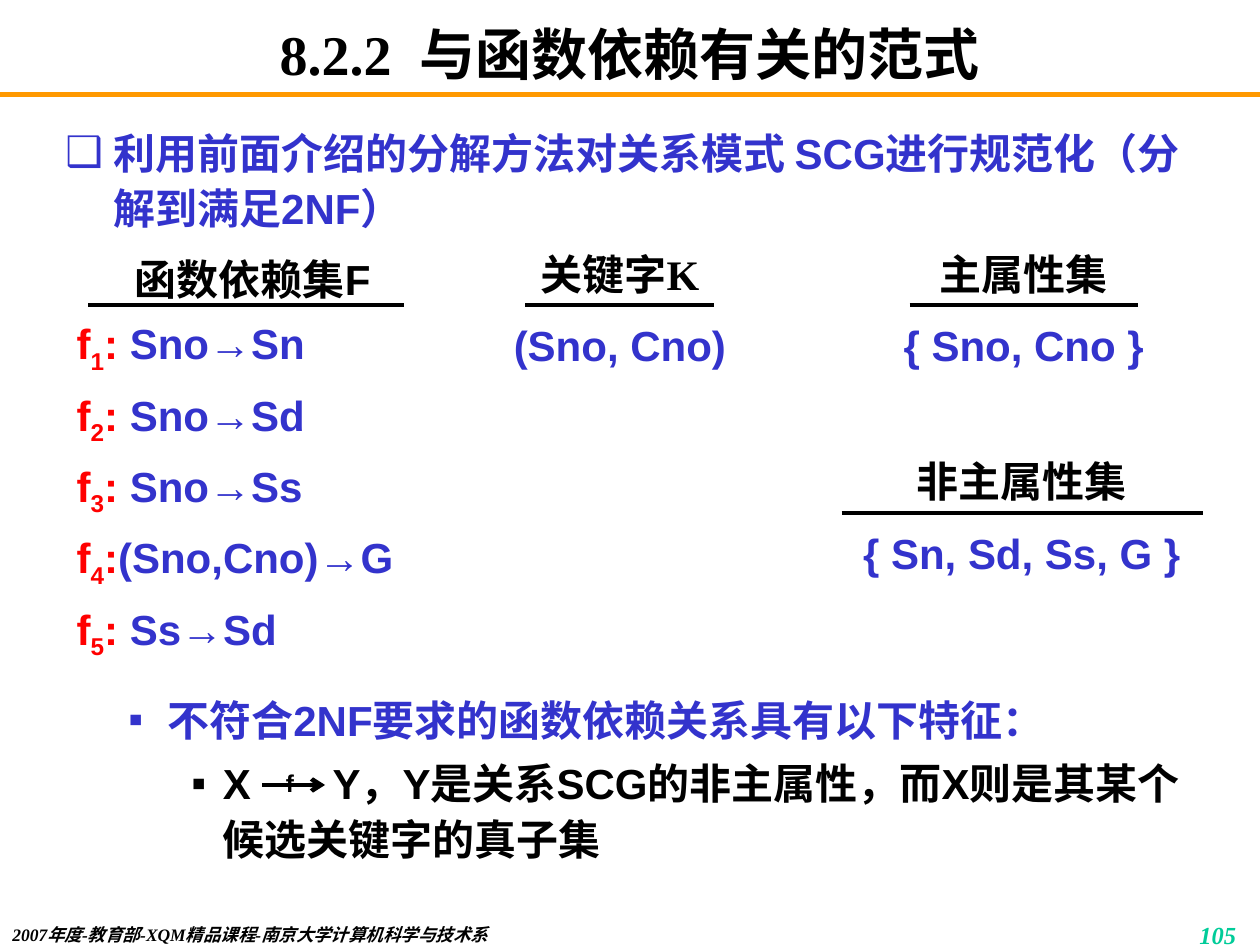
from dataclasses import dataclass

from lxml import etree
from pptx import Presentation
from pptx import util as u
from pptx.dml.color import RGBColor
from pptx.enum import shapes, text
from pptx.oxml.ns import qn


@dataclass(frozen=True)
class Theme:
    black: str = "000000"
    blue: str = "3333CC"
    red: str = "FF0000"
    orange: str = "FF9900"
    green: str = "00CC99"
    sans: str = "Arial"
    serif: str = "Times New Roman"
    chinese: str = "Noto Sans CJK SC"
    title_size: int = 32
    body_size: int = 24
    number_size: int = 14
    footer_size: int = 10


THEME = Theme()
CENTER = text.PP_ALIGN.CENTER
LIST_STYLE = {"line_spacing": 1.1, "indent": (0.38, -0.38)}
LIST_GAP = 4.8
HEADING_GAP = 12


def add_box(slide, left, top, width, height, vertical_inset=0.05):
    """Add an empty wrapping text box and return its text frame."""
    box = slide.shapes.add_textbox(*map(u.Inches, (left, top, width, height)))
    frame = box.text_frame
    frame.word_wrap = True
    frame.margin_top = frame.margin_bottom = u.Inches(vertical_inset)
    return frame


def add_paragraph(frame, runs, size=THEME.body_size, color=THEME.black,
                  font=THEME.sans, italic=False, align=None, before=0,
                  line_spacing=None, indent=None, bullet=None, level=0):
    """Fill the first paragraph or add one; runs are (text, attributes) pairs."""
    first = frame.paragraphs[0]
    paragraph = frame.add_paragraph() if first.runs else first
    paragraph.level = level
    paragraph.alignment = align
    paragraph.space_before = u.Pt(before)
    if line_spacing:
        paragraph.line_spacing = line_spacing
    properties = paragraph._p.get_or_add_pPr()
    if indent:
        for name, value in zip(("marL", "indent"), indent):
            properties.set(name, str(u.Inches(value)))
    if bullet:
        etree.SubElement(properties, qn("a:buFont"), typeface=THEME.sans)
        etree.SubElement(properties, qn("a:buChar"), char=bullet)

    # Shared character format, with a separate face for Chinese
    paragraph.font.size = u.Pt(size)
    paragraph.font.bold = True
    paragraph.font.italic = italic
    paragraph.font.name = font
    paragraph.font.color.rgb = RGBColor.from_string(color)
    etree.SubElement(properties.find(qn("a:defRPr")), qn("a:ea"),
                     typeface=THEME.chinese)

    for content, attributes in [(runs, {})] if isinstance(runs, str) else runs:
        run = paragraph.add_run()
        run.text = content
        for name, value in attributes.items():
            if name == "color":
                run.font.color.rgb = RGBColor.from_string(value)
            else:
                run._r.get_or_add_rPr().set(name, str(value))


def add_line(slide, left, right, y, width, color=THEME.black, arrow=False):
    """Add a horizontal line, with an open arrowhead on the right if asked."""
    line = slide.shapes.add_connector(
        shapes.MSO_CONNECTOR.STRAIGHT,
        *map(u.Inches, (left, y, right, y)))
    line.line.width = u.Pt(width)
    line.line.color.rgb = RGBColor.from_string(color)
    if arrow:
        etree.SubElement(line.line._get_or_add_ln(), qn("a:tailEnd"), type="arrow")
    etree.SubElement(line._element.spPr, qn("a:effectLst"))


def add_attribute_block(slide, heading, value, left, top, width, rule):
    """Add an underlined heading with its set of attributes below."""
    frame = add_box(slide, left, top, width, 1.1)
    add_paragraph(frame, heading, font=THEME.serif, align=CENTER)
    add_paragraph(frame, value, color=THEME.blue, align=CENTER,
                  before=HEADING_GAP)
    add_line(slide, *rule, top + 0.5, 2)


def add_dependencies(slide):
    """Add the numbered list of functional dependencies."""
    frame = add_box(slide, 0.51, 1.92, 2.99, 3.17)
    add_paragraph(frame, "函数依赖集F", align=CENTER, **LIST_STYLE)
    dependencies = (" Sno→Sn", " Sno→Sd", " Sno→Ss", "(Sno,Cno)→G", " Ss→Sd")
    for number, dependency in enumerate(dependencies, 1):
        add_paragraph(frame, [
            ("f", {}),
            (str(number), {"baseline": -25000}),
            (":", {}),
            (dependency, {"color": THEME.blue}),
        ], color=THEME.red, before=LIST_GAP, **LIST_STYLE)
    add_line(slide, 0.7, 3.21, 2.42, 2)


def add_features(slide):
    """Add the features of dependencies that break 2NF."""
    add_line(slide, 2.08, 2.58, 6.23, 2.5, arrow=True)
    label = add_box(slide, 2.17, 6.01, 0.25, 0.32)
    add_paragraph(label, [("f", {"baseline": 30000})])

    frame = add_box(slide, 0.42, 5.42, 9.25, 1.5)
    add_paragraph(frame, "不符合2NF要求的函数依赖关系具有以下特征：",
                  color=THEME.blue, line_spacing=1.1,
                  indent=(0.81, -0.31), bullet="▪", level=1)
    # The widened space leaves room for the arrow
    add_paragraph(frame, [
        ("X", {}),
        (" ", {"spc": 4000}),
        ("Y，Y是关系SCG的非主属性，而X则是其某个候选关键字的真子集", {}),
    ], before=LIST_GAP, line_spacing=1.1,
        indent=(1.25, -0.25), bullet="▪", level=2)


def main():
    presentation = Presentation()
    presentation.slide_width = u.Inches(10)
    presentation.slide_height = u.Inches(7.5)
    slide = presentation.slides.add_slide(presentation.slide_layouts[6])

    # Header rule, page number and footer
    add_line(slide, 0, 10, 0.75, 3, THEME.orange)
    number = add_box(slide, 7.83, 7.25, 2.08, 0.25)
    add_paragraph(number, "105", THEME.number_size, THEME.green, THEME.serif,
                  italic=True, align=text.PP_ALIGN.RIGHT)
    footer = add_box(slide, 0, 7.33, 5.5, 0.17, vertical_inset=0)
    add_paragraph(footer, "2007年度-教育部-XQM精品课程-南京大学计算机科学与技术系",
                  THEME.footer_size, font=THEME.serif, italic=True)

    # Title
    title = add_box(slide, 0.75, 0.17, 8.5, 0.5, vertical_inset=0)
    title.vertical_anchor = text.MSO_ANCHOR.MIDDLE
    add_paragraph(title, [("8.2.2", {}), (" ", {"spc": 800}),
                          ("与函数依赖有关的范式", {})],
                  THEME.title_size, font=THEME.serif, align=CENTER)

    # Introduction
    introduction = add_box(slide, 0.42, 0.92, 9.25, 1)
    add_paragraph(introduction,
                  "利用前面介绍的分解方法对关系模式 SCG进行规范化（分解到满足2NF）",
                  color=THEME.blue, bullet="❑", **LIST_STYLE)

    # Features, dependencies and attribute sets
    add_features(slide)
    add_dependencies(slide)
    add_attribute_block(slide, "非主属性集", "{ Sn, Sd, Ss, G }",
                        6.58, 3.57, 3.06, (6.68, 9.55))
    add_attribute_block(slide, "主属性集", "{ Sno, Cno }",
                        6.92, 1.92, 2.41, (7.22, 9.03))
    add_attribute_block(slide, "关键字K", "(Sno, Cno)",
                        3.92, 1.92, 2, (4.17, 5.67))

    presentation.save("out.pptx")


if __name__ == "__main__":
    main()
